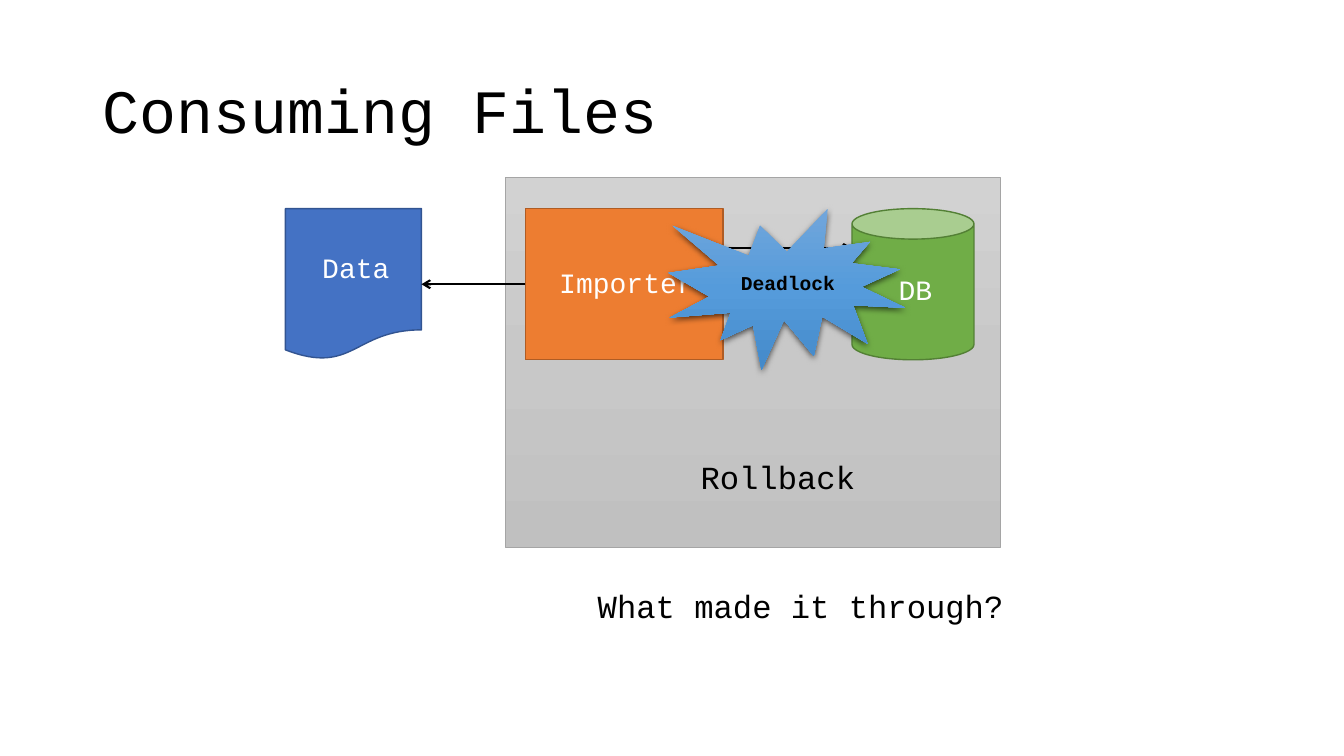
from copy import deepcopy

from lxml.etree import SubElement
from pptx import Presentation
from pptx.dml.color import RGBColor
from pptx.enum.shapes import MSO_CONNECTOR, MSO_SHAPE
from pptx.enum.text import MSO_ANCHOR, MSO_AUTO_SIZE, PP_ALIGN
from pptx.oxml.ns import qn
from pptx.util import Pt

PX = 9144  # EMU per px, 100 px to the inch
BLACK = RGBColor(0x00, 0x00, 0x00)
WHITE = RGBColor(0xFF, 0xFF, 0xFF)
BLUE = RGBColor(0x44, 0x72, 0xC4)
DARK_BLUE = RGBColor(0x32, 0x54, 0x91)
GREEN = RGBColor(0x70, 0xAD, 0x47)
DARK_GREEN = RGBColor(0x53, 0x80, 0x35)
ORANGE = RGBColor(0xED, 0x7D, 0x31)
DARK_ORANGE = RGBColor(0xAF, 0x5C, 0x24)
GREY = RGBColor(0xA5, 0xA5, 0xA5)
GREY_FADE = [RGBColor(0xD2, 0xD2, 0xD2), RGBColor(0xC8, 0xC8, 0xC8),
             RGBColor(0xC0, 0xC0, 0xC0)]
BLUE_FADE = [RGBColor(0x71, 0xA6, 0xDB), RGBColor(0x55, 0x9B, 0xDB),
             RGBColor(0x44, 0x8A, 0xCA)]


class SlideBuilder:
    font = "Courier New"

    def __init__(self, slide):
        self.shapes = slide.shapes

    def fill_text(self, tf, text, size, color, bold=False):
        p = tf.paragraphs[0]
        r = p.add_run()
        r.text = text
        r.font.name = self.font
        r.font.size = Pt(size)
        r.font.bold = bold
        r.font.color.rgb = color
        return p

    def caption(self, box, text, size):
        tb = self.shapes.add_textbox(*(v * PX for v in box))
        tf = tb.text_frame
        tf.word_wrap = False
        tf.auto_size = MSO_AUTO_SIZE.SHAPE_TO_FIT_TEXT
        self.fill_text(tf, text, size, BLACK)

    def title(self, box, text):
        tb = self.shapes.add_textbox(*(v * PX for v in box))
        tf = tb.text_frame
        tf.word_wrap = True
        tf.vertical_anchor = MSO_ANCHOR.MIDDLE
        self.fill_text(tf, text, 44, BLACK).line_spacing = 0.9

    def shape(self, kind, box, fill, line=None, width=1):
        sp = self.shapes.add_shape(kind, *(v * PX for v in box))
        sp.shadow.inherit = False
        if isinstance(fill, list):
            self.fade(sp, fill)
        else:
            sp.fill.solid()
            sp.fill.fore_color.rgb = fill
        if line is None:
            sp.line.fill.background()
        else:
            sp.line.color.rgb = line
            sp.line.width = Pt(width)
        return sp

    def fade(self, sp, colors):
        sp.fill.gradient()
        sp.fill.gradient_angle = 270
        stops = sp._element.spPr.find(".//" + qn("a:gsLst"))
        stops.insert(1, deepcopy(stops[0]))
        for i, (stop, color) in enumerate(zip(sp.fill.gradient_stops, colors)):
            stop.position = i / 2
            stop.color.rgb = color

    def label(self, sp, text, size=20, color=WHITE, bold=False):
        tf = sp.text_frame
        tf.word_wrap = True
        tf.vertical_anchor = MSO_ANCHOR.MIDDLE
        tf.margin_left = 20 * PX
        tf.margin_right = tf.margin_top = tf.margin_bottom = 15 * PX
        p = self.fill_text(tf, text, size, color, bold)
        p.alignment = PP_ALIGN.CENTER
        p.line_spacing = 0.9

    def drop_shadow(self, sp):
        effects = sp._element.spPr.find(qn("a:effectLst"))
        shadow = SubElement(effects, qn("a:outerShdw"), blurRad=str(Pt(4.5)),
                            dist=str(Pt(1.5)), dir="5400000", rotWithShape="0")
        color = SubElement(shadow, qn("a:srgbClr"), val=str(BLACK))
        SubElement(color, qn("a:alpha"), val="63000")

    def arrow(self, x1, y1, x2, y2):
        cn = self.shapes.add_connector(
            MSO_CONNECTOR.STRAIGHT, x1 * PX, y1 * PX, x2 * PX, y2 * PX)
        cn.line.color.rgb = BLACK
        cn.line.width = Pt(1.5)
        spPr = cn._element.spPr
        SubElement(spPr.find(qn("a:ln")), qn("a:tailEnd"), type="arrow")
        SubElement(spPr, qn("a:effectLst"))
        return cn


def main():
    prs = Presentation()
    prs.slide_width, prs.slide_height = 1333 * PX, 750 * PX
    s = SlideBuilder(prs.slides.add_slide(prs.slide_layouts[6]))

    # Transaction area and title
    s.shape(MSO_SHAPE.RECTANGLE, (501, 176, 491, 367), GREY_FADE, GREY, 0.5)
    s.title((92, 40, 1150, 145), "Consuming Files")

    # Data file, database and importer
    data = s.shape(MSO_SHAPE.FLOWCHART_DOCUMENT, (283, 207, 135, 150), BLUE, DARK_BLUE)
    s.label(data, "Data")
    db = s.shape(MSO_SHAPE.CAN, (845, 207, 121, 150), GREEN, DARK_GREEN)
    s.label(db, "DB")
    importer = s.shape(MSO_SHAPE.RECTANGLE, (521, 207, 196, 150), ORANGE, DARK_ORANGE)
    s.label(importer, "Importer")

    # Arrows from the importer
    to_data = s.arrow(521, 282, 418, 282)
    to_data.begin_connect(importer, 1)
    to_data.end_connect(data, 3)
    for y in range(246, 309, 31):
        s.arrow(717, y, 845, y)

    # Deadlock burst
    burst = s.shape(MSO_SHAPE.EXPLOSION1, (663, 207, 235, 160), BLUE_FADE)
    s.drop_shadow(burst)
    s.label(burst, "Deadlock", 14, BLACK, bold=True)

    # Captions
    s.caption((685, 449, 176, 49), "Rollback", 23)
    s.caption((583, 577, 429, 49), "What made it through?", 23)

    prs.save("out.pptx")


if __name__ == "__main__":
    main()
